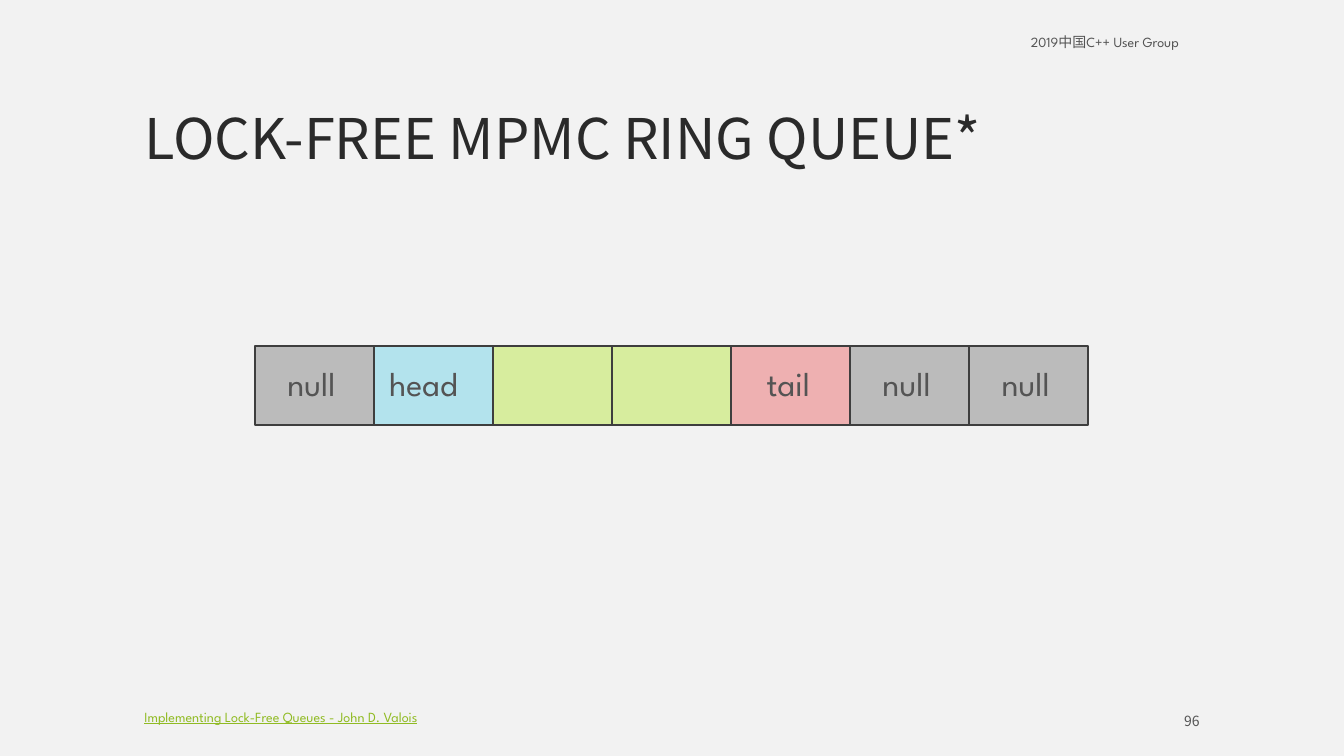
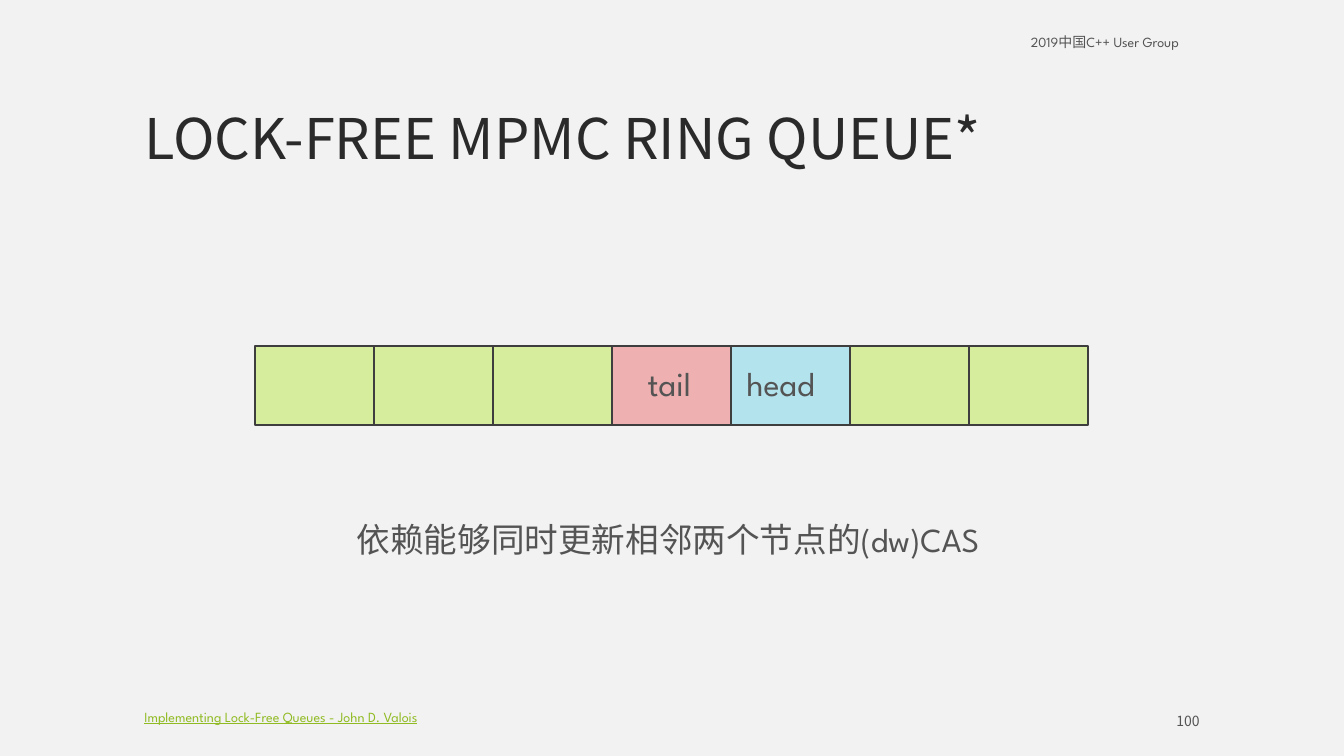
"""Build two slides on a lock-free ring queue."""
from dataclasses import dataclass

from lxml import etree
from pptx import Presentation
from pptx import util as u
from pptx.dml.color import RGBColor
from pptx.enum import shapes, text as t
from pptx.oxml.ns import qn

BACKGROUND = RGBColor(0xF2, 0xF2, 0xF2)
TITLE_INK = RGBColor(0x2A, 0x2A, 0x2A)
INK = RGBColor(0x54, 0x54, 0x54)
LINK = RGBColor(0x90, 0xBB, 0x23)
OUTLINE = RGBColor(0x3E, 0x3E, 0x3E)
GRAY = RGBColor(0xBB, 0xBB, 0xBB)
GREEN = RGBColor(0xD7, 0xED, 0x9E)
BLUE = RGBColor(0xB3, 0xE3, 0xED)
PINK = RGBColor(0xEE, 0xB0, 0xB1)

LATIN_FONT = "League Spartan"
CJK_FONT = "Noto Sans CJK SC"

CELL_LEFT, CELL_TOP = 6.43, 8.71
CELL_WIDTH, CELL_HEIGHT = 3.0, 2.0


@dataclass(frozen=True)
class Box:
    """Place of a text box in centimetres."""
    left: float
    top: float
    width: float
    height: float


@dataclass(frozen=True)
class Cell:
    """Kind of queue slot, with the left inset of its label in centimetres."""
    fill: RGBColor
    label: str = ""
    inset: float = 0.25


@dataclass(frozen=True)
class QueueSlide:
    """Content that differs between the slides."""
    number: int
    cells: tuple[Cell, ...]
    note: str = ""


HEADER_BOX = Box(25.73, 0.76, 4.75, 0.64)
TITLE_BOX = Box(3.39, 0.76, 27.09, 3.68)
NUMBER_BOX = Box(27.3, 17.91, 3.18, 0.51)
SOURCE_BOX = Box(3.39, 17.78, 8.84, 0.64)
NOTE_BOX = Box(8.74, 13.06, 17.02, 1.17)

NULL = Cell(GRAY, "null", 0.81)
HEAD = Cell(BLUE, "head", 0.38)
TAIL = Cell(PINK, "tail", 0.89)
FULL = Cell(GREEN)

QUEUE_SLIDES = (
    QueueSlide(96, (NULL, HEAD, FULL, FULL, TAIL, NULL, NULL)),
    QueueSlide(100, (FULL, FULL, FULL, TAIL, HEAD, FULL, FULL),
               "依赖能够同时更新相邻两个节点的(dw)CAS"),
)


def write_text(shape, text: str, *, size: float, color: RGBColor = INK,
               font: str = LATIN_FONT, underline: bool = False,
               align=t.PP_ALIGN.LEFT, anchor=t.MSO_ANCHOR.TOP,
               spacing: float = 0.9, wrap: bool = False) -> None:
    """Write one formatted paragraph into a shape."""
    frame = shape.text_frame
    frame.word_wrap = wrap
    frame.vertical_anchor = anchor
    paragraph = frame.paragraphs[0]
    paragraph.alignment = align
    paragraph.line_spacing = spacing
    run = paragraph.add_run()
    run.text = text
    run.font.size = u.Pt(size)
    run.font.name = font
    run.font.color.rgb = color
    if underline:
        run.font.underline = True
    east_asian = etree.SubElement(run.font._element, qn("a:ea"))
    east_asian.set("typeface", CJK_FONT)


def add_text(slide, box: Box, text: str, **style) -> None:
    """Add a text box with one formatted paragraph."""
    shape = slide.shapes.add_textbox(
        u.Cm(box.left), u.Cm(box.top), u.Cm(box.width), u.Cm(box.height))
    write_text(shape, text, **style)


def add_frame(slide, number: int) -> None:
    """Add the header, title, page number and source line."""
    add_text(slide, HEADER_BOX, "2019中国C++ User Group", size=10)
    add_text(slide, TITLE_BOX, "LOCK-FREE MPMC RING QUEUE*", size=40,
             color=TITLE_INK, font=CJK_FONT, anchor=t.MSO_ANCHOR.BOTTOM,
             wrap=True)
    add_text(slide, NUMBER_BOX, str(number), size=10, font=CJK_FONT,
             align=t.PP_ALIGN.RIGHT, anchor=t.MSO_ANCHOR.MIDDLE,
             spacing=1.0, wrap=True)
    add_text(slide, SOURCE_BOX, "Implementing Lock-Free Queues - John D. Valois",
             size=10, color=LINK, underline=True)


def add_queue(slide, cells: tuple[Cell, ...]) -> None:
    """Draw the queue as a row of touching cells."""
    for index, cell in enumerate(cells):
        shape = slide.shapes.add_shape(
            shapes.MSO_SHAPE.RECTANGLE,
            u.Cm(CELL_LEFT + index * CELL_WIDTH), u.Cm(CELL_TOP),
            u.Cm(CELL_WIDTH), u.Cm(CELL_HEIGHT))
        shape.shadow.inherit = False
        shape.fill.solid()
        shape.fill.fore_color.rgb = cell.fill
        shape.line.color.rgb = OUTLINE
        shape.line.width = u.Pt(1.5)
        if cell.label:
            shape.text_frame.margin_left = u.Cm(cell.inset)
            shape.text_frame.margin_right = 0
            write_text(shape, cell.label, size=24, wrap=True,
                       anchor=t.MSO_ANCHOR.MIDDLE)


def main() -> None:
    """Build and save the presentation."""
    presentation = Presentation()
    presentation.slide_width = u.Cm(33.87)
    presentation.slide_height = u.Cm(19.05)
    background = presentation.slide_master.background.fill
    background.solid()
    background.fore_color.rgb = BACKGROUND
    for content in QUEUE_SLIDES:
        slide = presentation.slides.add_slide(presentation.slide_layouts[6])
        add_frame(slide, content.number)
        add_queue(slide, content.cells)
        if content.note:
            add_text(slide, NOTE_BOX, content.note, size=24)
    presentation.save("out.pptx")


if __name__ == "__main__":
    main()
